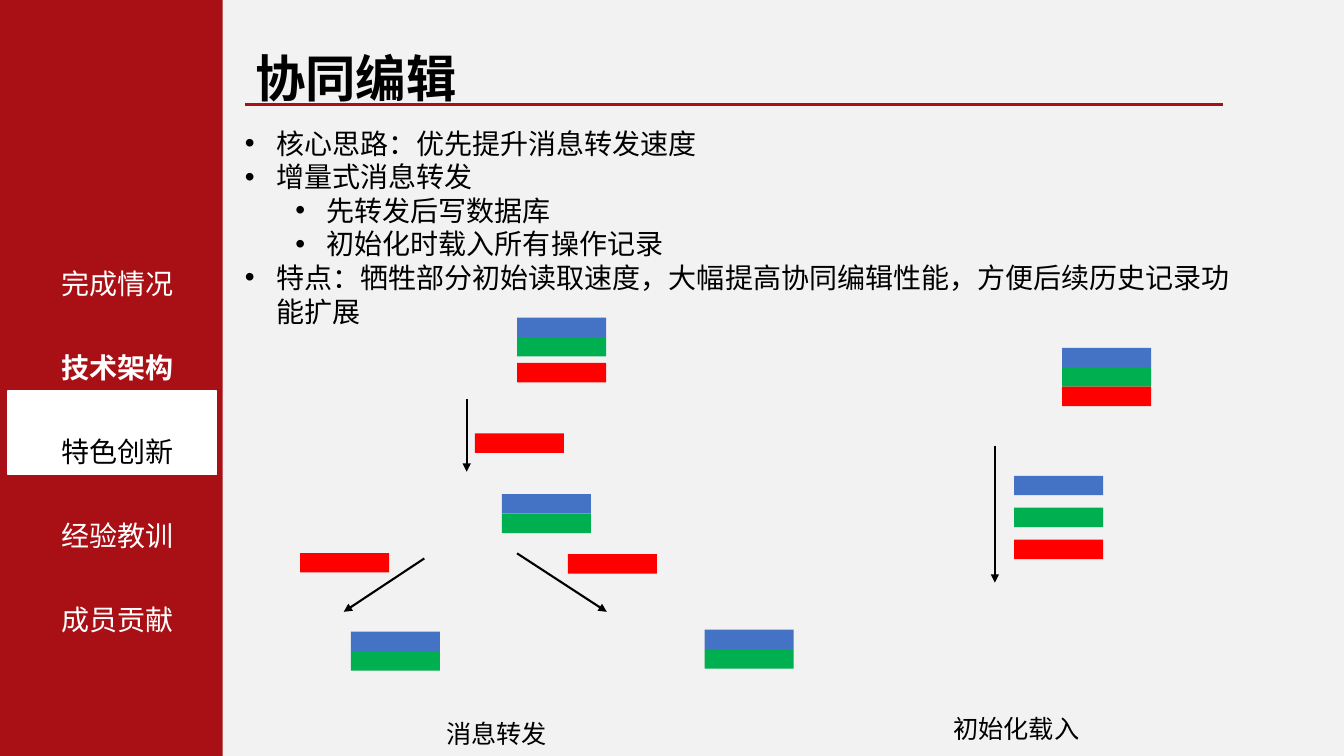
import pptx
import pptx.dml.color
import pptx.enum.shapes
import pptx.enum.text
import pptx.oxml
import pptx.oxml.ns
import pptx.util
from lxml import etree

COLORS = {
    "paper": "F2F2F2", "crimson": "A91015", "white": "FFFFFF", "black": "000000",
    "blue": "4472C4", "green": "00B050", "red": "FF0000",
}
COLUMNS, ROWS = 40, 22.5
BAR_WIDTH, BAR_HEIGHT = 2.65, 0.58
INDENT, LEVEL_STEP = 0.31, 0.5  # inches


def rgb(name):
    return pptx.dml.color.RGBColor.from_string(COLORS[name])


def write(paragraph, text, size=20, color="black", bold=False, align="LEFT",
          spacing=1.0, level=0, bullet=None):
    """Fill a paragraph with formatted text, with a hanging bullet if given."""
    paragraph.level = level
    paragraph.alignment = getattr(pptx.enum.text.PP_ALIGN, align)
    paragraph.line_spacing = spacing
    paragraph.space_before = pptx.util.Pt(0)
    if bullet:
        properties = paragraph._p.get_or_add_pPr()
        left = INDENT + LEVEL_STEP * level
        properties.set("marL", str(pptx.util.Inches(left)))
        properties.set("indent", str(pptx.util.Inches(-INDENT)))
        for tag, key, value in (("a:buFont", "typeface", "Arial"),
                                ("a:buChar", "char", bullet)):
            etree.SubElement(properties, pptx.oxml.ns.qn(tag)).set(key, value)
    run = paragraph.add_run()
    run.text = text
    run.font.name = "Times New Roman"
    run.font.size = pptx.util.Pt(size)
    run.font.bold = bold
    run.font.color.rgb = rgb(color)


class Board:
    """One slide measured in columns and rows of its grid."""

    def __init__(self, deck):
        self.slide = deck.slides.add_slide(deck.slide_layouts[1])
        self.column = deck.slide_width / COLUMNS
        self.row = deck.slide_height / ROWS
        self.slide.background.fill.solid()
        self.slide.background.fill.fore_color.rgb = rgb("paper")

    def place(self, x, y, w, h):
        return (round(x * self.column), round(y * self.row),
                round(w * self.column), round(h * self.row))

    def block(self, box, color, outline=None):
        block = self.slide.shapes.add_shape(
            pptx.enum.shapes.MSO_SHAPE.RECTANGLE, *self.place(*box))
        block.shadow.inherit = False
        block.fill.solid()
        block.fill.fore_color.rgb = rgb(color)
        if outline:
            block.line.color.rgb = rgb(outline)
            block.line.width = pptx.util.Pt(1)
        else:
            block.line.fill.background()

    def bars(self, x, y, colors, step=BAR_HEIGHT):
        for i, color in enumerate(colors):
            self.block((x, y + i * step, BAR_WIDTH, BAR_HEIGHT), color)

    def line(self, ends, color="black", width=1.5, arrow=True):
        line = self.slide.shapes.add_connector(
            pptx.enum.shapes.MSO_CONNECTOR.STRAIGHT,
            *self.place(*ends))
        line.line.color.rgb = rgb(color)
        line.line.width = pptx.util.Pt(width)
        if arrow:
            head = etree.SubElement(line.line._get_or_add_ln(),
                                    pptx.oxml.ns.qn("a:tailEnd"))
            head.set("type", "triangle")
        etree.SubElement(line._element.spPr, pptx.oxml.ns.qn("a:effectLst"))

    def text(self, box, items, holder=None, **style):
        """Write (text, own format) items into a placeholder or a new text box."""
        place = self.place(*box)
        if holder is None:
            holder = self.slide.shapes.add_textbox(*place)
        holder.left, holder.top, holder.width, holder.height = place
        frame = holder.text_frame
        frame.word_wrap = True
        frame.auto_size = pptx.enum.text.MSO_AUTO_SIZE.SHAPE_TO_FIT_TEXT
        frame.vertical_anchor = pptx.enum.text.MSO_ANCHOR.TOP
        for i, (words, own) in enumerate(items):
            paragraph = frame.add_paragraph() if i else frame.paragraphs[0]
            write(paragraph, words, **{**style, **own})


def main():
    deck = pptx.Presentation()
    deck.slide_width = pptx.util.Inches(13.33)
    deck.slide_height = pptx.util.Inches(7.5)
    board = Board(deck)
    title, body = board.slide.placeholders

    # Sidebar with the chapters, and the rule under the title
    board.block((0, 0, 6.63, ROWS), "crimson")
    board.block((0.24, 11.64, 6.21, 2.49), "white", outline="white")
    board.line((7.29, 3.12, 36.39, 3.12), "crimson", 2.25, arrow=False)
    board.text((0.99, 6.27, 5.04, 12.48), [
        ("完成情况", {}),
        ("技术架构", {"bold": True}),
        ("特色创新", {"color": "black"}),
        ("经验教训", {}),
        ("成员贡献", {}),
    ], color="white", align="CENTER", spacing=2.5)

    # Title and main points
    board.text((7.29, -0.54, 7.65, 3.39), [("协同编辑", {})], title,
               size=36, bold=True, spacing=2.0)
    board.text((6.99, 3.6, 30.66, 6.36), [
        ("核心思路：优先提升消息转发速度", {}),
        ("增量式消息转发", {}),
        ("先转发后写数据库", {"level": 1}),
        ("初始化时载入所有操作记录", {"level": 1}),
        ("特点：牺牲部分初始读取速度，大幅提高协同编辑性能，方便后续历史记录功能扩展", {}),
    ], body, bullet="•")

    # Arrows of both diagrams
    for ends in ((13.89, 11.88, 13.89, 14.04), (12.63, 16.62, 10.23, 18.21),
                 (15.39, 16.47, 18.06, 18.21), (29.61, 13.26, 29.61, 17.34)):
        board.line(ends)

    # Message forwarding: stored records, then the new record on its way
    for x, y in ((15.39, 9.45), (14.94, 14.71), (20.97, 18.74), (10.44, 18.8)):
        board.bars(x, y, ("blue", "green"))
    for x, y in ((15.39, 10.8), (14.13, 12.9), (16.9, 16.49), (8.93, 16.46)):
        board.bars(x, y, ("red",))

    # Initial loading: the full record, then its separate operations
    operations = ("blue", "green", "red")
    board.bars(31.61, 10.35, operations)
    board.bars(30.18, 14.16, operations, step=0.95)

    # Captions
    board.text((12.99, 21.24, 3.87, 1.2), [("消息转发", {})], size=18)
    board.text((28.08, 21.09, 4.86, 1.2), [("初始化载入", {})], size=18)

    deck.save("out.pptx")


if __name__ == "__main__":
    main()
